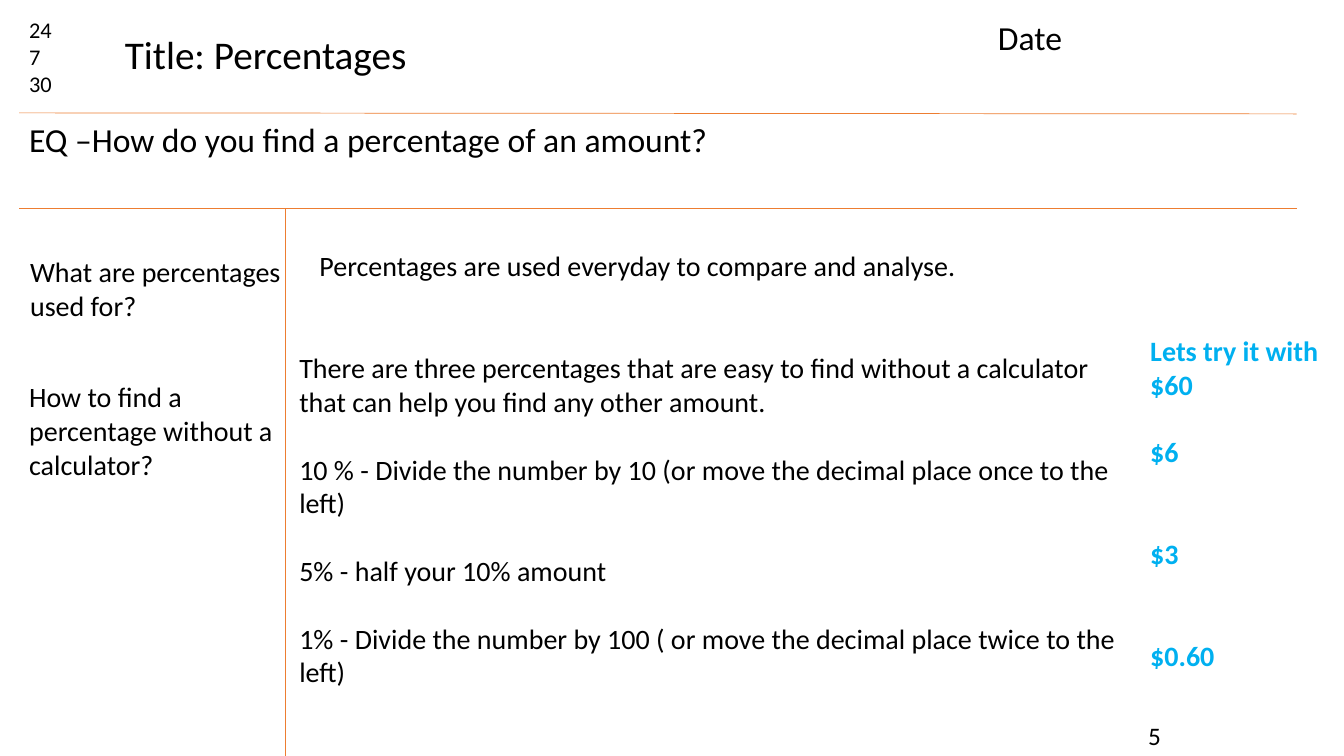
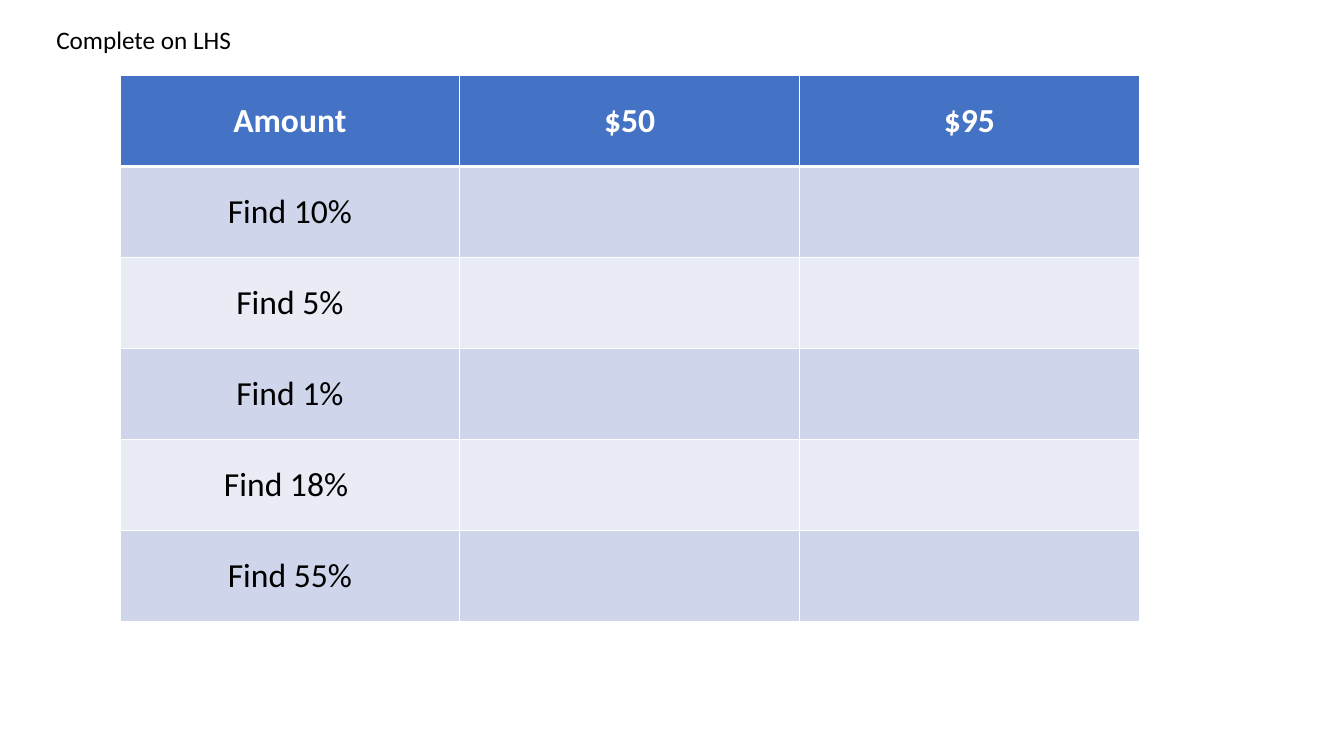
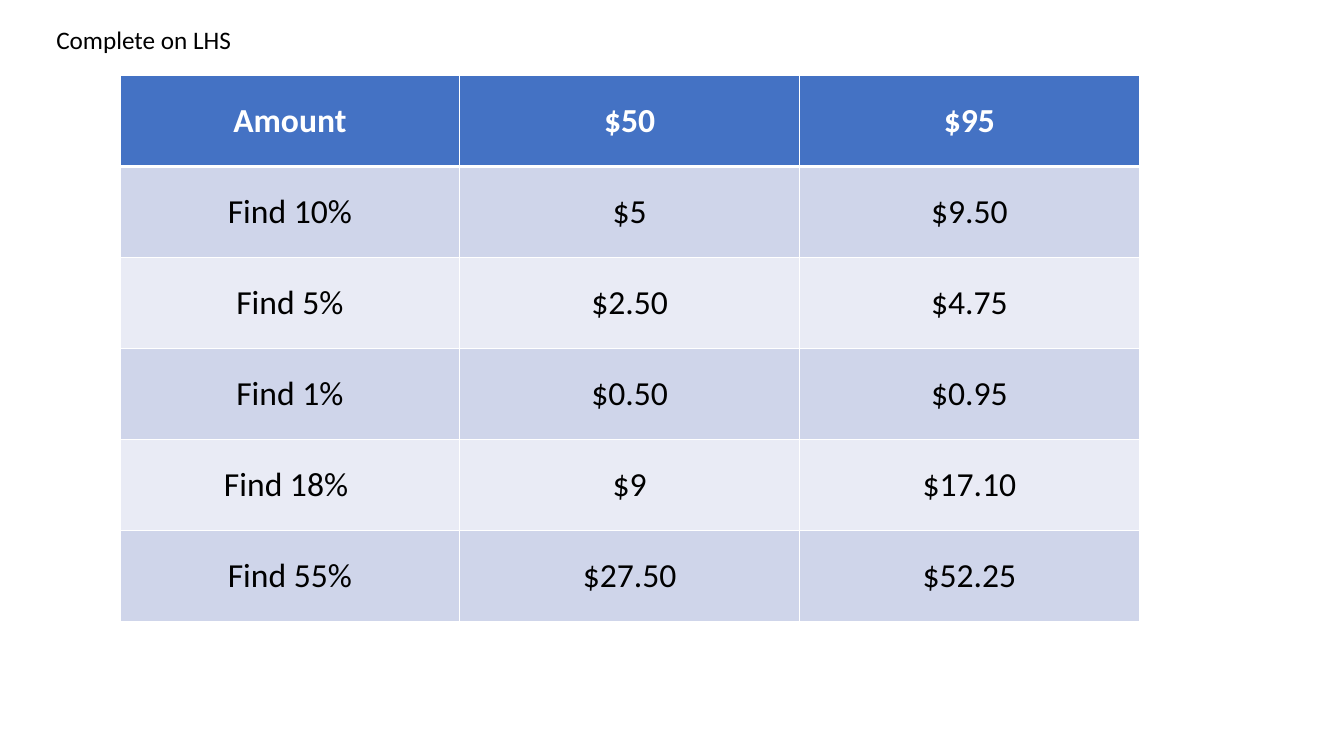
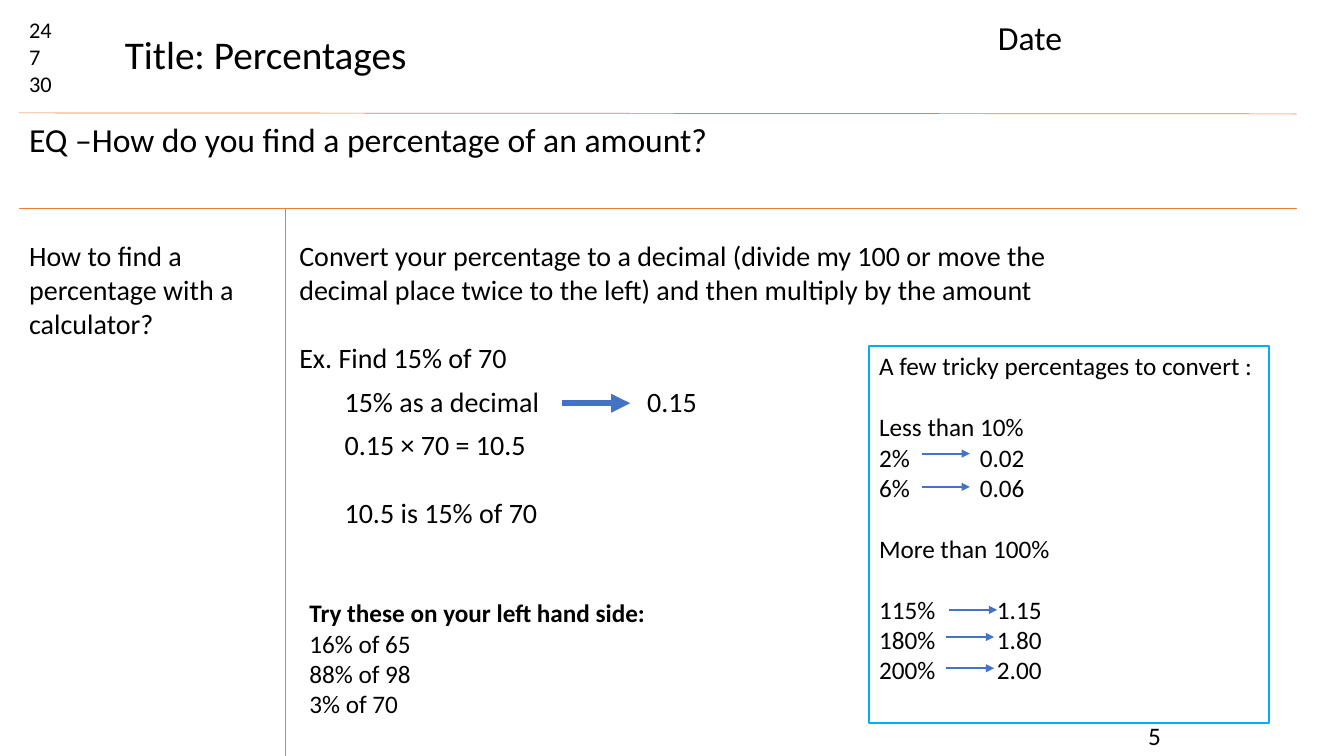
from dataclasses import dataclass

from lxml import etree
from pptx import Presentation
from pptx.dml.color import RGBColor
from pptx.enum.shapes import MSO_CONNECTOR, MSO_SHAPE
from pptx.enum.text import MSO_ANCHOR, PP_ALIGN
from pptx.oxml.ns import qn
from pptx.util import Inches, Pt

STRAIGHT = MSO_CONNECTOR.STRAIGHT
RECTANGLE = MSO_SHAPE.RECTANGLE
TOP, MIDDLE = MSO_ANCHOR.TOP, MSO_ANCHOR.MIDDLE
LEFT, CENTER = PP_ALIGN.LEFT, PP_ALIGN.CENTER


class Theme:
    font = "Calibri"
    line_height = 1.22
    black = RGBColor.from_string("000000")
    white = RGBColor.from_string("FFFFFF")
    rule = RGBColor.from_string("ED7D31")
    accent = RGBColor.from_string("00B0F0")
    blue = RGBColor.from_string("4472C4")
    bands = (RGBColor.from_string("CFD5EA"), RGBColor.from_string("E9EBF5"))
    title, heading, body, small, tiny = 28, 24, 20, 18, 16
    rule_width, arrow_width, thick_arrow_width = 0.5, 1.5, 4.5
    grid_width, header_grid_width = 1, 3


@dataclass
class Line:
    """One paragraph; gap counts the empty lines above it, tab is in inches."""
    text: str
    gap: int = 0
    bold: bool = False
    tab: float = 0


# Text boxes: left, top, width, height, type size, lines
FRAME_TEXT = [
    (11.29, 7.1, 0.6, 0.4, Theme.small, [Line("5")]),
    (0.19, 0.11, 0.63, 0.91, Theme.tiny, [Line("24"), Line("7"), Line("30")]),
    (1.14, 0.25, 7.02, 0.57, Theme.title, [Line("Title: Percentages")]),
    (9.8, 0.12, 1.73, 0.5, Theme.heading, [Line("Date")]),
    (0.19, 1.13, 11, 0.5, Theme.heading,
     [Line("EQ –How do you find a percentage of an amount?")]),
]
FRAME_RULES = [
    ((0.19, 1.12), (12.86, 1.13)),
    ((0.19, 2.07), (12.86, 2.07)),
    ((2.83, 2.07), (2.83, 7.5)),
]

WITHOUT_CALCULATOR = [
    (0.2, 2.48, 2.84, 0.77, Theme.body, [Line("What are percentages used for?")]),
    (3.07, 2.42, 7.64, 0.44, Theme.body,
     [Line("Percentages are used everyday to compare and analyse.")]),
    (0.19, 3.72, 2.68, 1.11, Theme.body,
     [Line("How to find a percentage without a calculator?")]),
    (2.87, 3.43, 8.32, 3.47, Theme.body, [
        Line("There are three percentages that are easy to find without a "
             "calculator that can help you find any other amount."),
        Line("10 % - Divide the number by 10 (or move the decimal place once "
             "to the left)", gap=1),
        Line("5% - half your 10% amount", gap=1),
        Line("1% - Divide the number by 100 ( or move the decimal place twice "
             "to the left)", gap=1),
    ]),
]
WORKED_AMOUNTS = (11.31, 3.26, 1.96, 3.47, Theme.body, [
    Line("Lets try it with $60", bold=True),
    Line("$6", gap=1, bold=True),
    Line("$3", gap=2, bold=True),
    Line("$0.60", gap=2, bold=True),
])

TASK_LABEL = (0.46, 0.19, 3.09, 0.4, Theme.small, [Line("Complete on LHS")])
TABLE_PLACE = (1.19, 0.75, 10.11, 5.42)
TABLE_HEADER = ("Amount", "$50", "$95")
ANSWERS = [
    ("Find 10%", "$5", "$9.50"),
    ("Find 5%", "$2.50", "$4.75"),
    ("Find 1%", "$0.50", "$0.95"),
    ("Find 18% ", "$9", "$17.10"),
    ("Find 55%", "$27.50", "$52.25"),
]
QUESTIONS = [(label, "", "") for label, *_ in ANSWERS]

WITH_CALCULATOR = [
    (0.19, 2.32, 2.68, 1.11, Theme.body,
     [Line("How to find a percentage with a calculator?")]),
    (2.87, 2.32, 8.32, 1.45, Theme.body, [
        Line("Convert your percentage to a decimal (divide my 100 or move the "
             "decimal place twice to the left) and then multiply by the amount"),
        Line("Ex. Find 15% of 70", gap=1),
    ]),
    (3.32, 3.77, 4.14, 0.44, Theme.body, [Line("15% as a decimal\t0.15", tab=3)]),
    (3.32, 4.19, 4.14, 1.11, Theme.body,
     [Line("0.15 × 70 = 10.5"), Line("10.5 is 15% of 70", gap=1)]),
    (2.97, 5.88, 6.65, 1.31, Theme.small, [
        Line("Try these on your left hand side:", bold=True),
        Line("16% of 65"), Line("88% of 98"), Line("3% of 70"),
    ]),
]
TRICKY_BOX = (8.62, 3.43, 3.97, 3.74, Theme.small, [
    Line("A few tricky percentages to convert :"),
    Line("Less than 10%", gap=1),
    Line("2%\t0.02", tab=1),
    Line("6%\t0.06", tab=1),
    Line("More than 100%", gap=1),
    Line("115%\t1.15", gap=1, tab=1.17),
    Line("180%\t1.80", tab=1.17),
    Line("200%\t2.00", tab=1.17),
])
EXAMPLE_ARROW = ((5.57, 4), (6.25, 4))
TRICKY_ARROW_LENGTH = 0.48
TRICKY_ARROW_STARTS = [(9.14, 4.5), (9.14, 4.83), (9.41, 6.05), (9.38, 6.32), (9.38, 6.63)]


def style_font(font, size, color, bold=False):
    font.name = Theme.font
    font.size = Pt(size)
    font.bold = bold
    font.color.rgb = color


def write_lines(frame, lines, size, color):
    frame.word_wrap = True
    frame.vertical_anchor = TOP
    for index, line in enumerate(lines):
        paragraph = frame.paragraphs[0] if index == 0 else frame.add_paragraph()
        paragraph.text = line.text
        paragraph.alignment = LEFT
        if line.gap:
            paragraph.space_before = Pt(round(line.gap * size * Theme.line_height, 1))
        if line.tab:
            tabs = etree.SubElement(paragraph._p.get_or_add_pPr(), qn("a:tabLst"))
            etree.SubElement(tabs, qn("a:tab"), pos=str(Inches(line.tab)), algn="l")
        style_font(paragraph.font, size, color, line.bold)


def add_text(slide, block, color=Theme.black):
    *place, size, lines = block
    box = slide.shapes.add_textbox(*map(Inches, place))
    write_lines(box.text_frame, lines, size, color)


def add_outlined_box(slide, block):
    *place, size, lines = block
    shape = slide.shapes.add_shape(RECTANGLE, *map(Inches, place))
    shape.shadow.inherit = False
    shape.fill.background()
    shape.line.color.rgb = Theme.accent
    shape.line.width = Pt(1.5)
    write_lines(shape.text_frame, lines, size, Theme.black)


def add_line(slide, start, end, color, width, arrow=False):
    connector = slide.shapes.add_connector(STRAIGHT, *map(Inches, (*start, *end)))
    connector.line.color.rgb = color
    connector.line.width = Pt(width)
    if arrow:
        etree.SubElement(connector.line._get_or_add_ln(), qn("a:tailEnd"), type="triangle")
    etree.SubElement(connector._element.spPr, qn("a:effectLst"))


def set_borders(cell, top, bottom):
    """Draw white cell borders; top and bottom are widths in points."""
    properties = cell._tc.get_or_add_tcPr()
    side = Theme.grid_width
    for tag, width in (("lnL", side), ("lnR", side), ("lnT", top), ("lnB", bottom)):
        border = etree.SubElement(properties, qn(f"a:{tag}"), w=str(Pt(width)))
        fill = etree.SubElement(border, qn("a:solidFill"))
        etree.SubElement(fill, qn("a:srgbClr"), val=str(Theme.white))


def add_percentage_table(slide, body_rows):
    rows = [TABLE_HEADER, *body_rows]
    table = slide.shapes.add_table(
        len(rows), len(TABLE_HEADER), *map(Inches, TABLE_PLACE)).table
    thin, thick = Theme.grid_width, Theme.header_grid_width
    for row_index, row in enumerate(rows):
        header = row_index == 0
        for column_index, text in enumerate(row):
            cell = table.cell(row_index, column_index)
            set_borders(cell, thick if row_index == 1 else thin, thick if header else thin)
            cell.fill.solid()
            cell.fill.fore_color.rgb = Theme.blue if header else Theme.bands[(row_index - 1) % 2]
            cell.vertical_anchor = MIDDLE
            paragraph = cell.text_frame.paragraphs[0]
            paragraph.text = text
            paragraph.alignment = CENTER
            style_font(paragraph.font, Theme.heading,
                       Theme.white if header else Theme.black, header)


def new_slide(presentation):
    return presentation.slides.add_slide(presentation.slide_layouts[6])


def add_notes_page(presentation, blocks):
    """Add a slide with the ruled note-taking frame and its text."""
    slide = new_slide(presentation)
    for start, end in FRAME_RULES:
        add_line(slide, start, end, Theme.rule, Theme.rule_width)
    for block in FRAME_TEXT + blocks:
        add_text(slide, block)
    return slide


def add_task_page(presentation, body_rows):
    slide = new_slide(presentation)
    add_percentage_table(slide, body_rows)
    add_text(slide, TASK_LABEL)


def main():
    presentation = Presentation()
    presentation.slide_width = Inches(13.33)
    presentation.slide_height = Inches(7.5)

    without_slide = add_notes_page(presentation, WITHOUT_CALCULATOR)
    add_text(without_slide, WORKED_AMOUNTS, Theme.accent)

    for body_rows in (QUESTIONS, ANSWERS):
        add_task_page(presentation, body_rows)

    with_slide = add_notes_page(presentation, WITH_CALCULATOR)
    add_line(with_slide, *EXAMPLE_ARROW, Theme.blue, Theme.thick_arrow_width, arrow=True)
    add_outlined_box(with_slide, TRICKY_BOX)
    for left, top in TRICKY_ARROW_STARTS:
        add_line(with_slide, (left, top), (left + TRICKY_ARROW_LENGTH, top),
                 Theme.blue, Theme.arrow_width, arrow=True)

    presentation.save("out.pptx")


if __name__ == "__main__":
    main()
